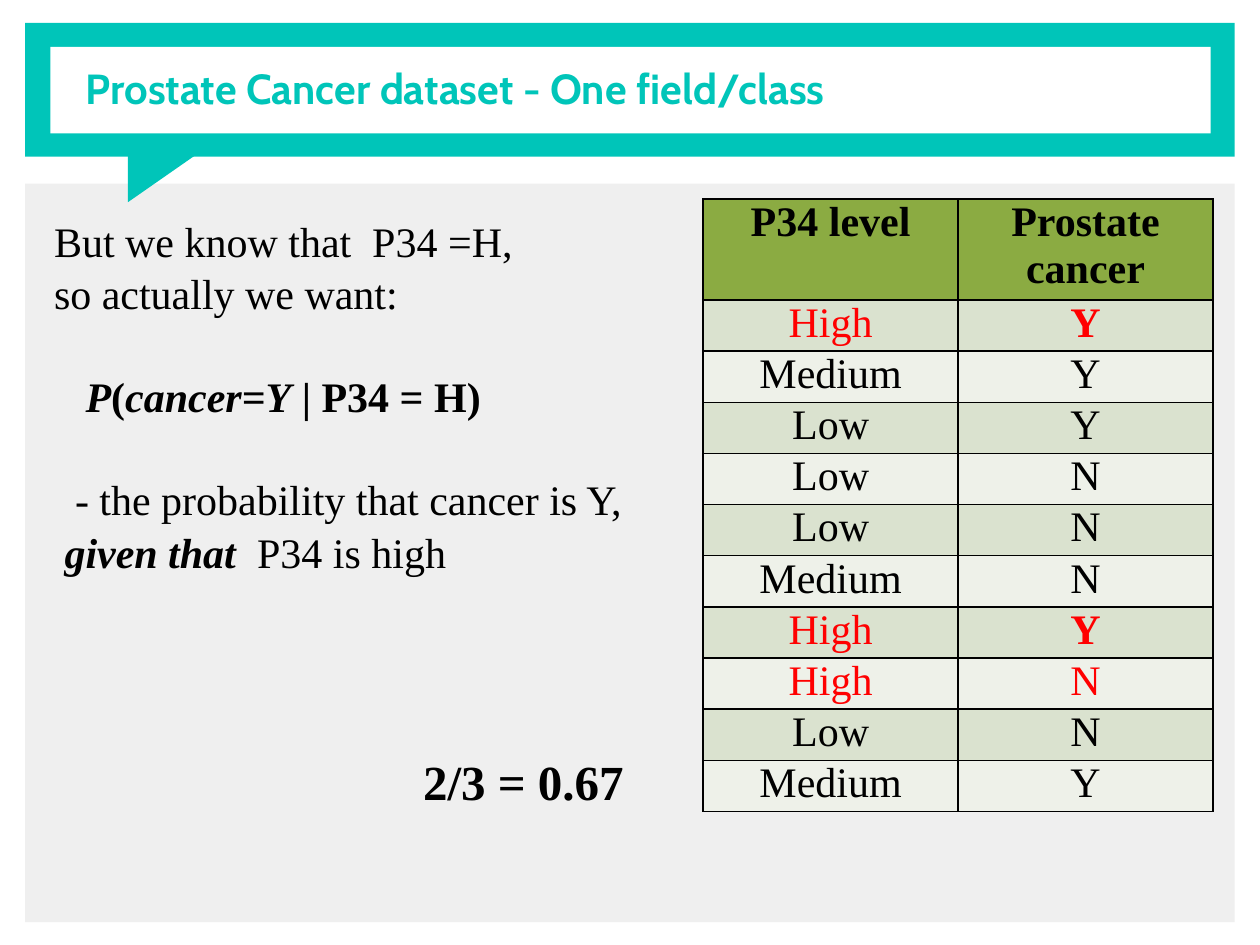
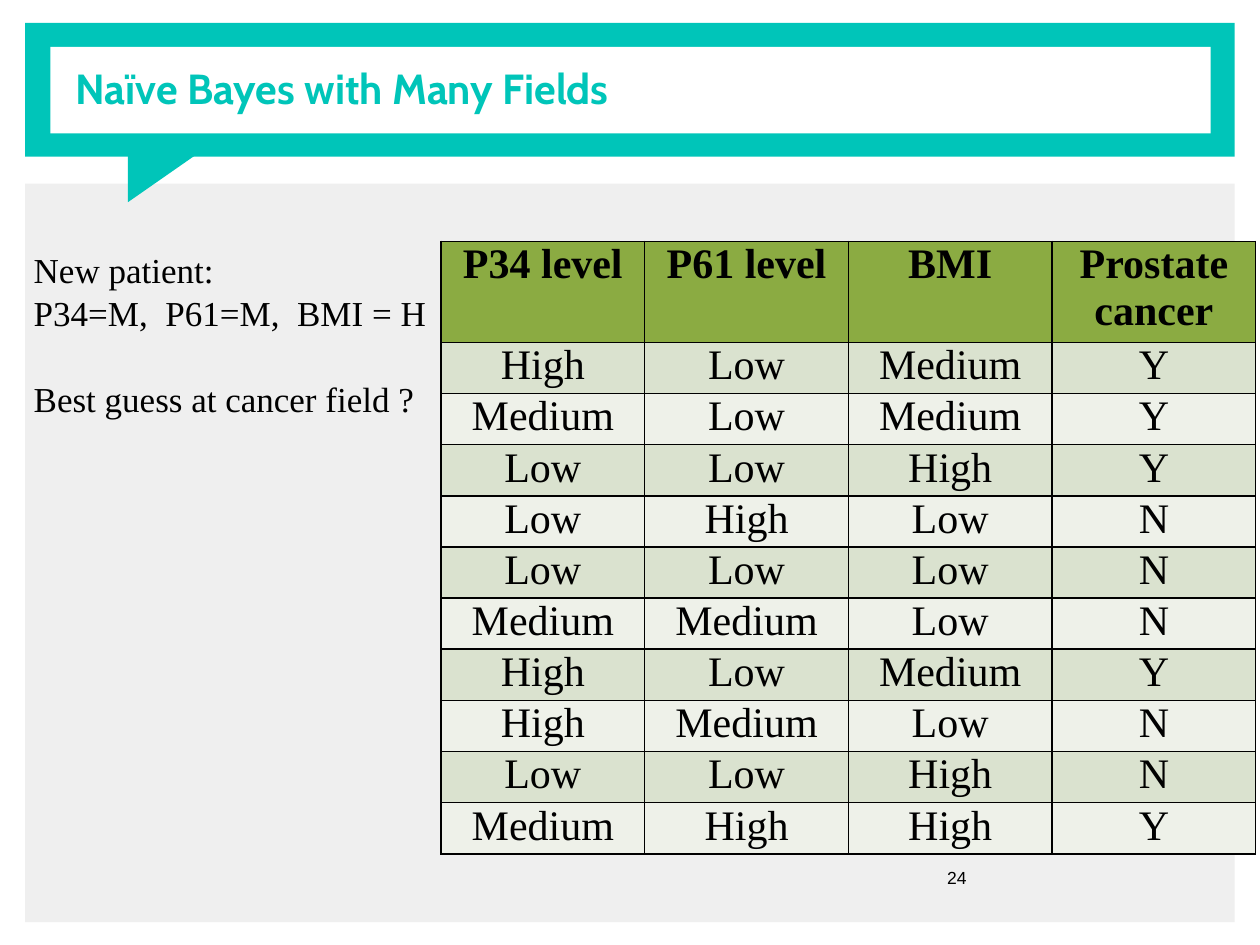
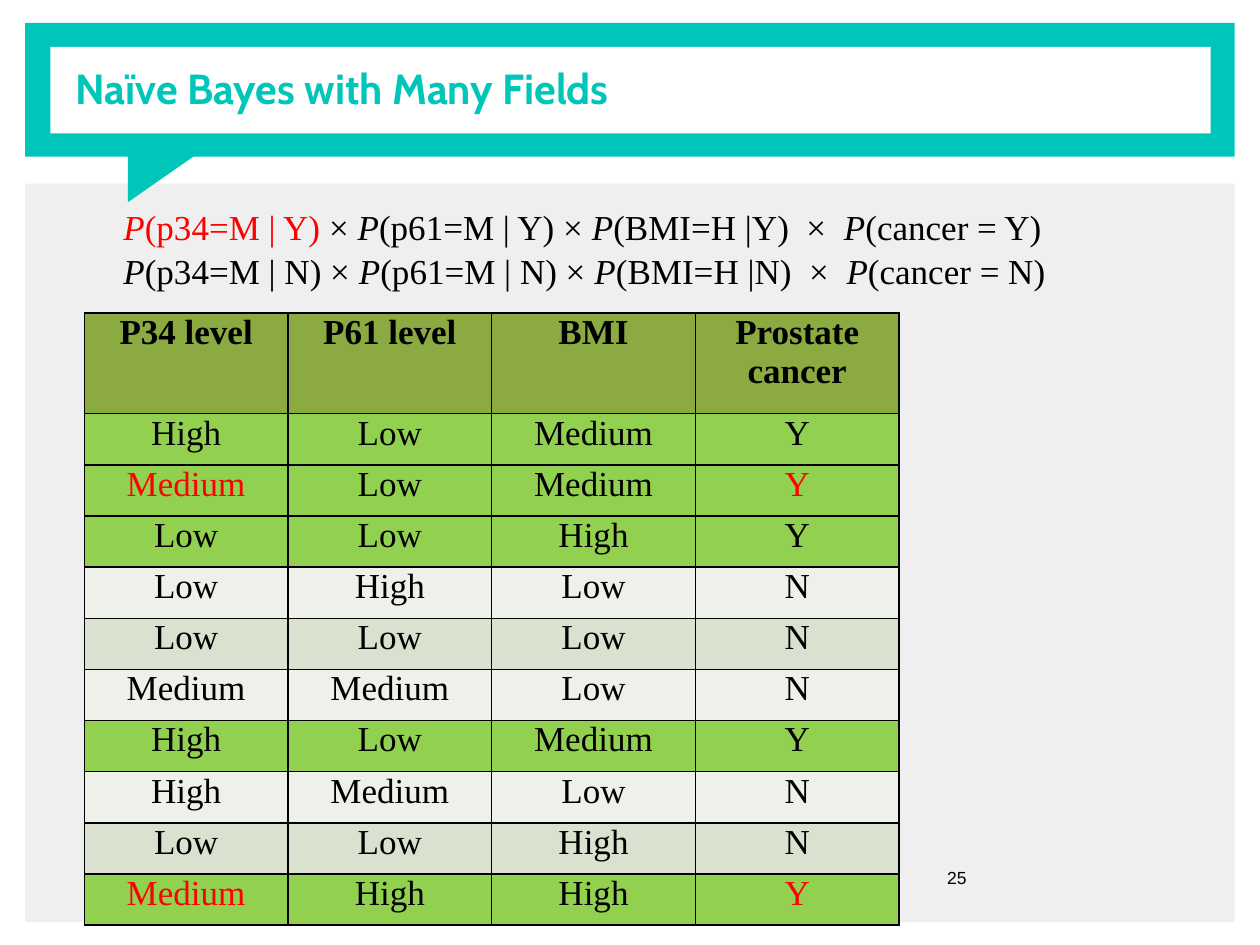
from lxml import etree
from pptx import Presentation
from pptx.dml.color import RGBColor
from pptx.enum import shapes, text
from pptx.oxml import ns
from pptx.util import Pt

COLORS = {
    "teal": "00C5B9", "panel": "EFEFEF", "white": "FFFFFF", "black": "000000",
    "red": "FF0000", "header": "8BAB42", "dark_band": "DAE2CF",
    "light_band": "EEF1E9", "positive": "92D050",
}
TITLE_FONT, BODY_FONT, NUMBER_FONT = "Cabin", "Times New Roman", "Arial"
LINE_PITCH = 1.2  # distance between baselines, as a share of the font size
PARAGRAPH_GAP = 0.05  # the part of the pitch that the font's own line leaves open

FIELDS = ["P34 level", "P61 level", "BMI", "Prostate cancer"]
PATIENTS = [
    ["High", "Low", "Medium", "Y"],
    ["Medium", "Low", "Medium", "Y"],
    ["Low", "Low", "High", "Y"],
    ["Low", "High", "Low", "N"],
    ["Low", "Low", "Low", "N"],
    ["Medium", "Medium", "Low", "N"],
    ["High", "Low", "Medium", "Y"],
    ["High", "Medium", "Low", "N"],
    ["Low", "Low", "High", "N"],
    ["Medium", "High", "High", "Y"],
]


def color(name):
    return RGBColor.from_string(COLORS[name])


def points(*lengths):
    return [Pt(length) for length in lengths]


class Deck:
    """Holds the shared style and the slide being filled."""

    def __init__(self):
        self.presentation = Presentation()
        self.presentation.slide_width, self.presentation.slide_height = points(720, 540)
        self.layout = self.presentation.slide_layouts[5]
        self.slide = None

    def add_slide(self, title, left=36):
        first = self.slide is None
        self.slide = self.presentation.slides.add_slide(self.layout)
        if first:
            self.add_frame()
        shape = self.slide.shapes.title
        shape.left, shape.top, shape.width, shape.height = points(left, 12.2, 626.4, 76.3)
        frame = shape.text_frame
        frame.text = title
        frame.vertical_anchor = text.MSO_ANCHOR.MIDDLE
        frame.auto_size = text.MSO_AUTO_SIZE.NONE
        frame.margin_left = frame.margin_right = Pt(7.2)
        frame.margin_top = frame.margin_bottom = Pt(7.2)
        frame.paragraphs[0].alignment = text.PP_ALIGN.LEFT
        self.style(frame.paragraphs[0].runs[0], 24, "b", TITLE_FONT, "teal")

    def add_frame(self):
        """Build the panel and speech bubble, then move them to the layout."""
        rectangle = shapes.MSO_SHAPE.RECTANGLE
        triangle = shapes.MSO_SHAPE.RIGHT_TRIANGLE
        parts = [
            (rectangle, "panel", 0, (14.4, 104.9, 691.2, 422)),
            (rectangle, "teal", 0, (14.4, 13, 691.2, 76.5)),
            (triangle, "teal", 90, (80.6, 73.4, 34.6, 49.7)),
            (rectangle, "white", 0, (28.8, 26.8, 663, 49.5)),
        ]
        for number, (kind, fill, rotation, place) in enumerate(parts, start=20):
            shape = self.slide.shapes.add_shape(kind, *points(*place))
            shape.shadow.inherit = False
            shape.rotation = rotation
            shape.fill.solid()
            shape.fill.fore_color.rgb = color(fill)
            shape.line.fill.background()
            shape.element.xpath("./p:nvSpPr/p:cNvPr")[0].set("id", str(number))
            self.layout.shapes.element.append(shape.element)

    def style(self, run, size, marks="", font=BODY_FONT, fill="black"):
        """Format a run; marks may hold b (bold), i (italic) and r (red)."""
        run.font.name, run.font.size = font, Pt(size)
        run.font.bold, run.font.italic = "b" in marks, "i" in marks
        run.font.color.rgb = color("red" if "r" in marks else fill)

    def add_text(self, place, size, lines, font=BODY_FONT):
        """Add lines of (indent, skipped lines, runs), each run being (text, marks)."""
        frame = self.slide.shapes.add_textbox(*points(*place)).text_frame
        frame.word_wrap = True
        for index, (indent, skipped, runs) in enumerate(lines):
            paragraph = frame.add_paragraph() if index else frame.paragraphs[0]
            if index:
                gap = (skipped * LINE_PITCH + PARAGRAPH_GAP) * size
                paragraph.space_before = Pt(round(gap, 2))
            if indent:
                properties = paragraph._p.get_or_add_pPr()
                properties.set("marL", str(Pt(indent)))
            for words, marks in runs:
                run = paragraph.add_run()
                run.text = words
                self.style(run, size, marks, font)

    def add_number(self, number):
        self.add_text((534.2, 491.8, 149.8, 36), 10, [(0, 0, [(number, "")])], NUMBER_FONT)

    def add_table(self, left, top, column_width, columns, size, marks_for, fill_for):
        """Show the chosen patient columns, styled by the two rules given."""
        rows = [FIELDS] + PATIENTS
        header_height, row_height = 57.6, 29.23
        table = self.slide.shapes.add_table(
            len(rows), len(columns),
            *points(left, top, column_width * len(columns),
                    header_height + row_height * len(PATIENTS))).table
        for column in table.columns:
            column.width = Pt(column_width)
        for index, row in enumerate(rows):
            table.rows[index].height = Pt(row_height if index else header_height)
            for position, field in enumerate(columns):
                marks = marks_for(row, field) if index else "b"
                fill = fill_for(index, row) if index else "header"
                self.fill_cell(table.cell(index, position), row[field], size, marks, fill)

    def fill_cell(self, cell, words, size, marks, fill):
        cell.margin_left = cell.margin_right = cell.margin_top = cell.margin_bottom = 0
        cell.text_frame.text = words
        paragraph = cell.text_frame.paragraphs[0]
        paragraph.alignment = text.PP_ALIGN.CENTER
        self.style(paragraph.runs[0], size, marks)
        properties = cell._tc.get_or_add_tcPr()
        for side in "LRTB":
            line = etree.SubElement(properties, ns.qn(f"a:ln{side}"), w=str(Pt(1)))
            solid = etree.SubElement(line, ns.qn("a:solidFill"))
            etree.SubElement(solid, ns.qn("a:srgbClr"), val=COLORS["black"])
        cell.fill.solid()
        cell.fill.fore_color.rgb = color(fill)


def banded(index, row):
    return "dark_band" if index % 2 else "light_band"


def positive_or_banded(index, row):
    return "positive" if row[3] == "Y" else banded(index, row)


def plain(row, field):
    return ""


def mark_high_p34(row, field):
    if row[0] != "High":
        return ""
    return "rb" if row[field] == "Y" else "r"


def mark_medium_p34_with_cancer(row, field):
    return "r" if field in (0, 3) and row[0] == "Medium" and row[3] == "Y" else ""


def likelihood(outcome, first_marks=""):
    """Runs for the product of probabilities given one cancer outcome."""
    return [
        ("P", "i" + first_marks), (f"(p34=M | {outcome}) ", first_marks), ("× ", ""),
        ("P", "i"), (f"(p61=M | {outcome}) × ", ""),
        ("P", "i"), (f"(BMI=H |{outcome})  ×  ", ""),
        ("P", "i"), (f"(cancer = {outcome})", ""),
    ]


def main():
    deck = Deck()

    deck.add_slide("Prostate Cancer dataset - One field/class", left=41.8)
    deck.add_table(401.8, 113.8, 145.7, [0, 3], 24, mark_high_p34, banded)
    deck.add_text((23.8, 119.5, 347.8, 216), 24, [
        (0, 0, [("But we know that  P34 =H,", "")]),
        (0, 0, [("so actually we want:", "")]),
        (18, 1, [("P", "bi"), ("(", "b"), ("cancer=Y", "bi"), (" | P34 = H)", "b")]),
        (12, 1, [("- the probability that cancer is Y,", "")]),
        (6, 0, [("given that  ", "bi"), ("P34 is high", "")]),
    ])
    deck.add_text((234.7, 426.2, 137.5, 41), 28, [(0, 0, [("2/3 = 0.67", "b")])])

    deck.add_slide("Naïve Bayes with Many Fields")
    deck.add_number("24")
    deck.add_table(252, 138, 116.4, range(4), 24, plain, banded)
    deck.add_text((12.2, 138.2, 240.5, 104.4), 20, [
        (0, 0, [("New patient:", "")]),
        (0, 0, [("P34=M,  P61=M,  BMI = H", "")]),
        (0, 1, [("Best guess at cancer field ?", "")]),
    ])

    deck.add_slide("Naïve Bayes with Many Fields")
    deck.add_number("25")
    deck.add_text((63.4, 113.8, 546.5, 55.4), 20, [
        (0, 0, likelihood("Y", "r")),
        (0, 0, likelihood("N")),
    ])
    deck.add_table(48.2, 178.8, 116.4, range(4), 20,
                   mark_medium_p34_with_cancer, positive_or_banded)

    deck.presentation.save("out.pptx")


if __name__ == "__main__":
    main()
